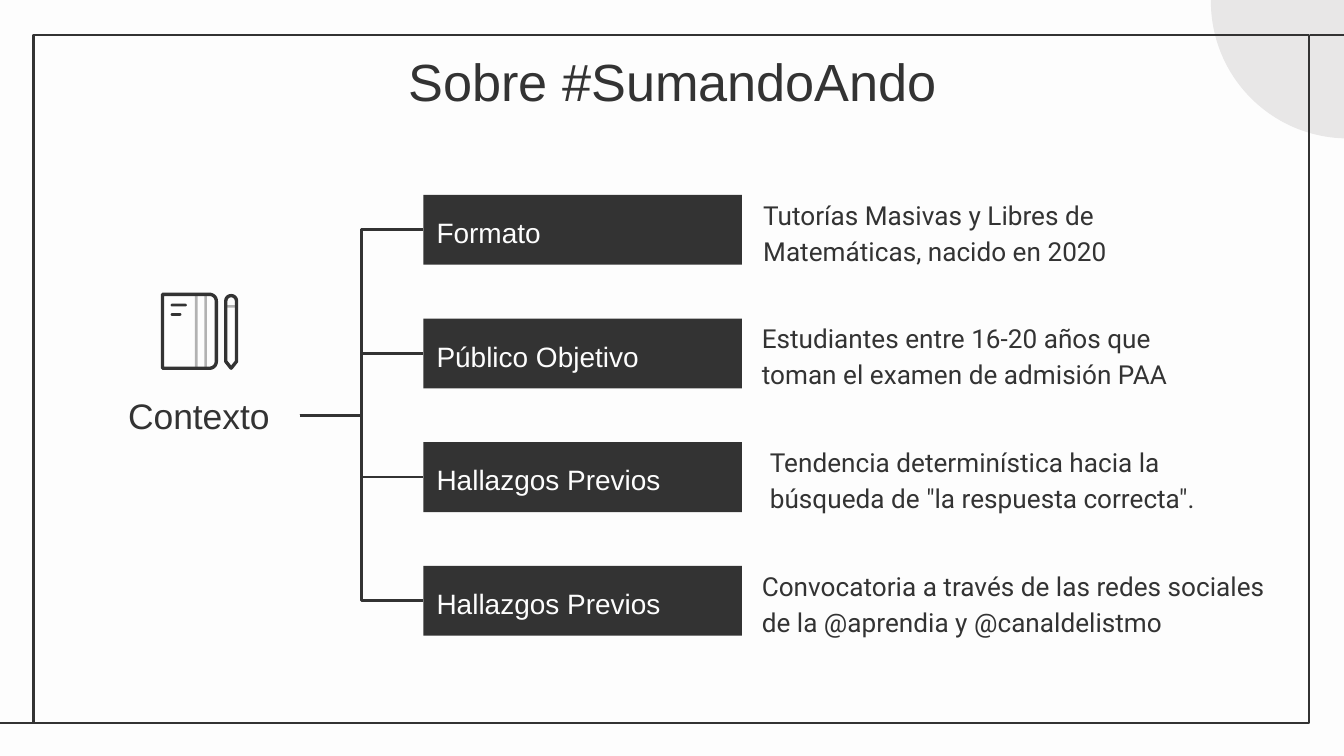
import math

import pptx
import pptx.dml.color
import pptx.enum.shapes
import pptx.enum.text
import pptx.oxml
import pptx.util

Inches = pptx.util.Inches
SHAPE = pptx.enum.shapes.MSO_SHAPE
CONNECTOR = pptx.enum.shapes.MSO_CONNECTOR
ANCHOR = pptx.enum.text.MSO_ANCHOR
ALIGN = pptx.enum.text.PP_ALIGN

COLORS = {"paper": "FDFDFD", "ink": "333333", "circle": "E8E7E7", "stripe": "B2B2B2"}

TOPICS = [
    ("Formato", "Tutorías Masivas y Libres de Matemáticas, nacido en 2020", 5.58, 3.05),
    ("Público Objetivo", "Estudiantes entre 16-20 años que toman el examen de admisión PAA", 5.57, 3.23),
    ("Hallazgos Previos", 'Tendencia determinística hacia la búsqueda de "la respuesta correcta".', 5.63, 3.64),
    ("Hallazgos Previos", "Convocatoria a través de las redes sociales de la @aprendia y @canaldelistmo", 5.57, 4.06),
]
TOPIC_TOP, TOPIC_STEP = 1.45, 0.92


def rgb(name):
    """Return the named colour."""
    return pptx.dml.color.RGBColor.from_string(COLORS[name])


def style_shape(shape, fill=None, line=None, weight=1.5):
    """Set the fill and outline of a shape and drop its shadow."""
    shape.shadow.inherit = False
    if fill:
        shape.fill.solid()
        shape.fill.fore_color.rgb = rgb(fill)
    else:
        shape.fill.background()
    if line:
        shape.line.color.rgb = rgb(line)
        shape.line.width = pptx.util.Pt(weight)
    else:
        shape.line.fill.background()


def add_block(page, kind, left, top, width, height, **style):
    """Add a preset shape, measured in inches."""
    shape = page.shapes.add_shape(kind, Inches(left), Inches(top), Inches(width), Inches(height))
    style_shape(shape, **style)
    return shape


def add_box(page, left, top, width, height):
    """Add an empty text box, measured in inches."""
    return page.shapes.add_textbox(Inches(left), Inches(top), Inches(width), Inches(height))


def write_text(box, text, size, font="Arial", color="ink", align=ALIGN.LEFT,
               anchor=ANCHOR.MIDDLE, spacing=1.15):
    """Write one formatted paragraph into a box."""
    frame = box.text_frame
    frame.word_wrap = True
    frame.vertical_anchor = anchor
    frame.margin_left = frame.margin_right = Inches(0.1)
    frame.margin_top = frame.margin_bottom = Inches(0.1)
    para = frame.paragraphs[0]
    para.alignment = align
    para.line_spacing = spacing
    span = para.add_run()
    span.text = text
    span.font.size = pptx.util.Pt(size)
    span.font.name = font
    span.font.color.rgb = rgb(color)


def add_line(page, kind, start=(0, 0), end=(0, 0)):
    """Add a dark connector without a shadow."""
    line = page.shapes.add_connector(kind, *map(Inches, start + end))
    line.line.color.rgb = rgb("ink")
    line.line.width = pptx.util.Pt(1.5)
    properties = line._element.spPr
    properties.append(pptx.oxml.parse_xml(
        '<a:effectLst xmlns:a="http://schemas.openxmlformats.org/drawingml/2006/main"/>'))
    return line


def arc(x, y, radius, start, stop, steps=8):
    """Return points along a circular arc, with angles in degrees."""
    angles = [math.radians(start + (stop - start) * i / steps) for i in range(steps + 1)]
    return [(x + radius * math.cos(a), y + radius * math.sin(a)) for a in angles]


def add_outline(page, points):
    """Draw a closed outline through points in inches."""
    first, *rest = [(Inches(x), Inches(y)) for x, y in points]
    builder = page.shapes.build_freeform(*first)
    builder.add_line_segments(rest, close=True)
    style_shape(builder.convert_to_shape(), line="ink", weight=1.8)


def add_frame(page):
    """Draw the corner circle and the border with its two extensions."""
    add_block(page, SHAPE.OVAL, 9.01, -1.01, 2.04, 2.04, fill="circle")
    add_block(page, SHAPE.RECTANGLE, 0.25, 0.26, 9.49, 5.12, line="ink")
    add_line(page, CONNECTOR.STRAIGHT, (0.26, 5.38), (-0.02, 5.38))
    add_line(page, CONNECTOR.STRAIGHT, (10.03, 0.26), (9.75, 0.26))


def add_notebook_icon(page):
    """Draw the notebook and pencil."""
    for left in (1.45, 1.52):
        add_block(page, SHAPE.RECTANGLE, left, 2.2, 0.02, 0.54, fill="stripe")
    add_block(page, SHAPE.RECTANGLE, 1.68, 2.27, 0.07, 0.02, fill="stripe")
    add_outline(page, [(1.21, 2.19)] + arc(1.56, 2.24, 0.05, -90, 0)
                + arc(1.56, 2.69, 0.05, 0, 90) + [(1.21, 2.74)])
    add_outline(page, arc(1.72, 2.24, 0.04, -180, 0) + [(1.76, 2.69), (1.72, 2.74), (1.68, 2.69)])
    for top, width in ((2.26, 0.12), (2.33, 0.08)):
        dash = add_block(page, SHAPE.ROUNDED_RECTANGLE, 1.27, top, width, 0.02, fill="ink")
        dash.adjustments[0] = 0.5


def add_topic(page, root, top, label, detail, left, width):
    """Add a labelled bar with its detail, joined to the root."""
    bar = add_block(page, SHAPE.RECTANGLE, 3.15, top, 2.37, 0.52, fill="ink")
    write_text(bar, label, 15, color="paper")
    write_text(add_box(page, left, top - 0.12, width, 0.77), detail, 14, font="Roboto")
    branch = add_line(page, CONNECTOR.ELBOW)
    branch.begin_connect(root, 3)
    branch.end_connect(bar, 1)


def main():
    """Build the slide and save it."""
    deck = pptx.Presentation()
    deck.slide_width = Inches(10)
    deck.slide_height = deck.slide_width * 9 // 16
    page = deck.slides.add_slide(deck.slide_layouts[6])
    page.background.fill.solid()
    page.background.fill.fore_color.rgb = rgb("paper")
    add_frame(page)
    write_text(add_box(page, 0.79, 0.27, 8.43, 0.63), "Sobre #SumandoAndo", 28,
               align=ALIGN.CENTER, anchor=ANCHOR.TOP, spacing=1.0)
    root = add_box(page, 0.73, 2.83, 1.5, 0.52)
    write_text(root, "Contexto", 19, align=ALIGN.CENTER, anchor=ANCHOR.BOTTOM)
    for row, topic in enumerate(TOPICS):
        add_topic(page, root, TOPIC_TOP + row * TOPIC_STEP, *topic)
    add_notebook_icon(page)
    deck.save("out.pptx")


if __name__ == "__main__":
    main()
